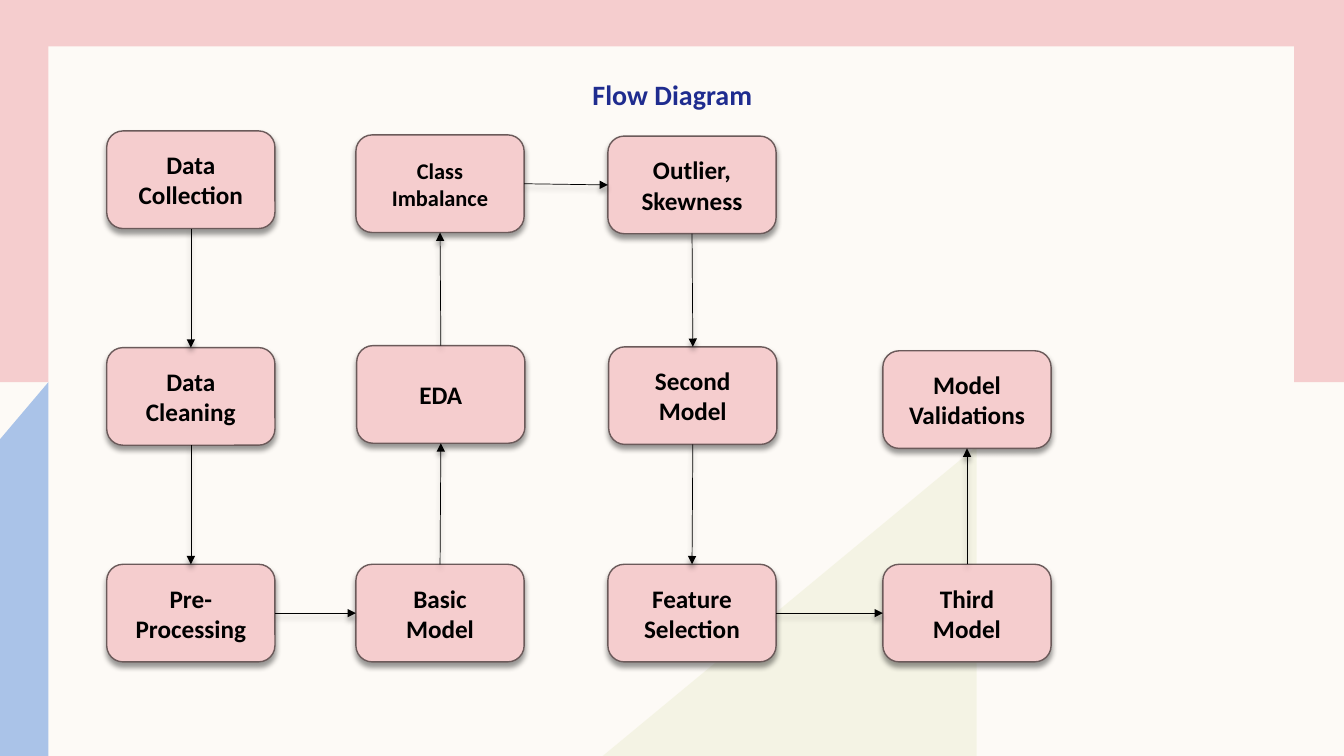
from dataclasses import dataclass

from lxml.etree import SubElement
from pptx import Presentation
from pptx.dml.color import RGBColor
from pptx.enum.shapes import MSO_CONNECTOR as Link, MSO_SHAPE as Preset
from pptx.enum.text import MSO_ANCHOR as Anchor, PP_ALIGN as Align
from pptx.oxml.ns import qn
from pptx.util import Cm, Pt

COLORS = {
    "cream": "FDFAF6",
    "pink": "F5CDCE",
    "olive": "EDEED3",
    "blue": "AAC3E8",
    "navy": "1F2C8F",
    "outline": "6B5A5A",
    "black": "000000",
}
SLIDE_WIDTH, SLIDE_HEIGHT = 33.87, 19.05
STEP_WIDTH, STEP_HEIGHT = 4.24, 2.46
TOP, LEFT, BOTTOM, RIGHT = range(4)


@dataclass(frozen=True)
class Step:
    label: str
    left: float
    top: float
    size: int = 18


@dataclass(frozen=True)
class Arrow:
    source: str
    exit: int
    target: str
    entry: int


STEPS = {
    "collection": Step("Data Collection", 2.69, 3.3),
    "cleaning": Step("Data Cleaning", 2.69, 8.76),
    "processing": Step("Pre-Processing", 2.69, 14.22),
    "basic": Step("Basic\nModel", 8.97, 14.22),
    "eda": Step("EDA", 8.99, 8.71),
    "imbalance": Step("Class Imbalance", 8.97, 3.4, 16),
    "outlier": Step("Outlier,\nSkewness", 15.32, 3.43),
    "second": Step("Second\nModel", 15.34, 8.74),
    "feature": Step("Feature Selection", 15.32, 14.22),
    "third": Step("Third\nModel", 22.25, 14.22),
    "validation": Step("Model Validations", 22.25, 8.84),
}
ARROWS = [
    Arrow("collection", BOTTOM, "cleaning", TOP),
    Arrow("cleaning", BOTTOM, "processing", TOP),
    Arrow("processing", RIGHT, "basic", LEFT),
    Arrow("basic", TOP, "eda", BOTTOM),
    Arrow("eda", TOP, "imbalance", BOTTOM),
    Arrow("imbalance", RIGHT, "outlier", LEFT),
    Arrow("outlier", BOTTOM, "second", TOP),
    Arrow("second", BOTTOM, "feature", TOP),
    Arrow("feature", RIGHT, "third", LEFT),
    Arrow("third", TOP, "validation", BOTTOM),
]


def color(name: str) -> RGBColor:
    return RGBColor.from_string(COLORS[name])


def paint(shape, fill: str) -> None:
    shape.shadow.inherit = False
    shape.fill.solid()
    shape.fill.fore_color.rgb = color(fill)
    shape.line.fill.background()


def add_panel(slide, left: float, top: float, width: float, height: float, fill: str) -> None:
    panel = slide.shapes.add_shape(Preset.RECTANGLE, Cm(left), Cm(top), Cm(width), Cm(height))
    paint(panel, fill)


def add_polygon(slide, corners: list[tuple[float, float]], fill: str):
    start, *rest = [(Cm(x), Cm(y)) for x, y in corners]
    builder = slide.shapes.build_freeform(*start)
    builder.add_line_segments(rest)
    polygon = builder.convert_to_shape()
    paint(polygon, fill)
    return polygon


def cast_shadow(shape) -> None:
    effects = SubElement(shape._element.spPr, qn("a:effectLst"))
    shadow = SubElement(effects, qn("a:outerShdw"), blurRad=str(Pt(4)), dist=str(Pt(3)),
                        dir="5400000", rotWithShape="0")
    tint = SubElement(shadow, qn("a:srgbClr"), val=COLORS["black"])
    SubElement(tint, qn("a:alpha"), val="40000")


def write(shape, text: str, size: int, ink: str) -> None:
    frame = shape.text_frame
    frame.word_wrap = True
    frame.text = text
    for paragraph in frame.paragraphs:
        paragraph.alignment = Align.CENTER
        paragraph.font.name = "Calibri"
        paragraph.font.size = Pt(size)
        paragraph.font.bold = True
        paragraph.font.color.rgb = color(ink)


def add_step(slide, step: Step):
    box = slide.shapes.add_shape(Preset.ROUNDED_RECTANGLE, Cm(step.left), Cm(step.top),
                                 Cm(STEP_WIDTH), Cm(STEP_HEIGHT))
    box.fill.solid()
    box.fill.fore_color.rgb = color("pink")
    box.line.color.rgb = color("outline")
    box.line.width = Pt(1)
    cast_shadow(box)
    box.text_frame.vertical_anchor = Anchor.MIDDLE
    write(box, step.label, step.size, "black")
    return box


def add_arrow(slide, arrow: Arrow, boxes: dict) -> None:
    link = slide.shapes.add_connector(Link.STRAIGHT, 0, 0, 0, 0)
    link.begin_connect(boxes[arrow.source], arrow.exit)
    link.end_connect(boxes[arrow.target], arrow.entry)
    link.line.color.rgb = color("black")
    link.line.width = Pt(0.5)
    SubElement(link.line._get_or_add_ln(), qn("a:tailEnd"), type="triangle")
    cast_shadow(link)


def add_backdrop(slide) -> None:
    slide.background.fill.solid()
    slide.background.fill.fore_color.rgb = color("cream")
    add_panel(slide, 0, 0, SLIDE_WIDTH, 9.63, "pink")
    add_panel(slide, 1.22, 1.17, 31.39, 16.74, "cream")
    hill = add_polygon(slide, [(15.19, SLIDE_HEIGHT), (24.61, 11.25), (24.61, SLIDE_HEIGHT)], "olive")
    tint = hill._element.spPr.find(qn("a:solidFill")).find(qn("a:srgbClr"))
    SubElement(tint, qn("a:alpha"), val="50000")
    add_polygon(slide, [(1.22, 9.63), (1.22, SLIDE_HEIGHT), (0, SLIDE_HEIGHT), (0, 11.07)], "blue")


def main() -> None:
    deck = Presentation()
    deck.slide_width, deck.slide_height = Cm(SLIDE_WIDTH), Cm(SLIDE_HEIGHT)
    slide = deck.slides.add_slide(deck.slide_layouts[6])
    add_backdrop(slide)
    heading = slide.shapes.add_textbox(Cm(8.46), Cm(1.83), Cm(16.97), Cm(1.12))
    write(heading, "Flow Diagram", 20, "navy")
    boxes = {key: add_step(slide, step) for key, step in STEPS.items()}
    for arrow in ARROWS:
        add_arrow(slide, arrow, boxes)
    deck.save("out.pptx")


if __name__ == "__main__":
    main()
